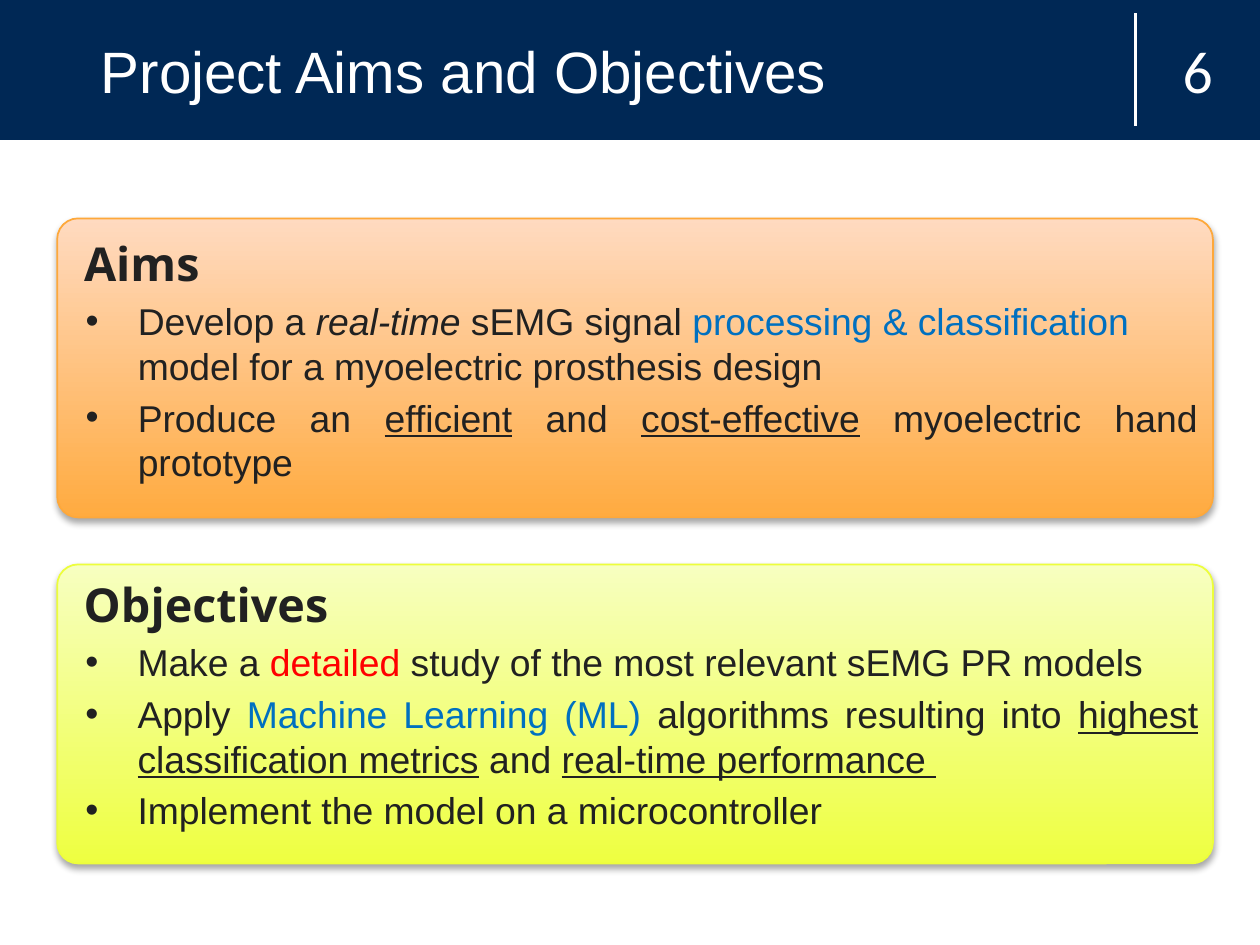
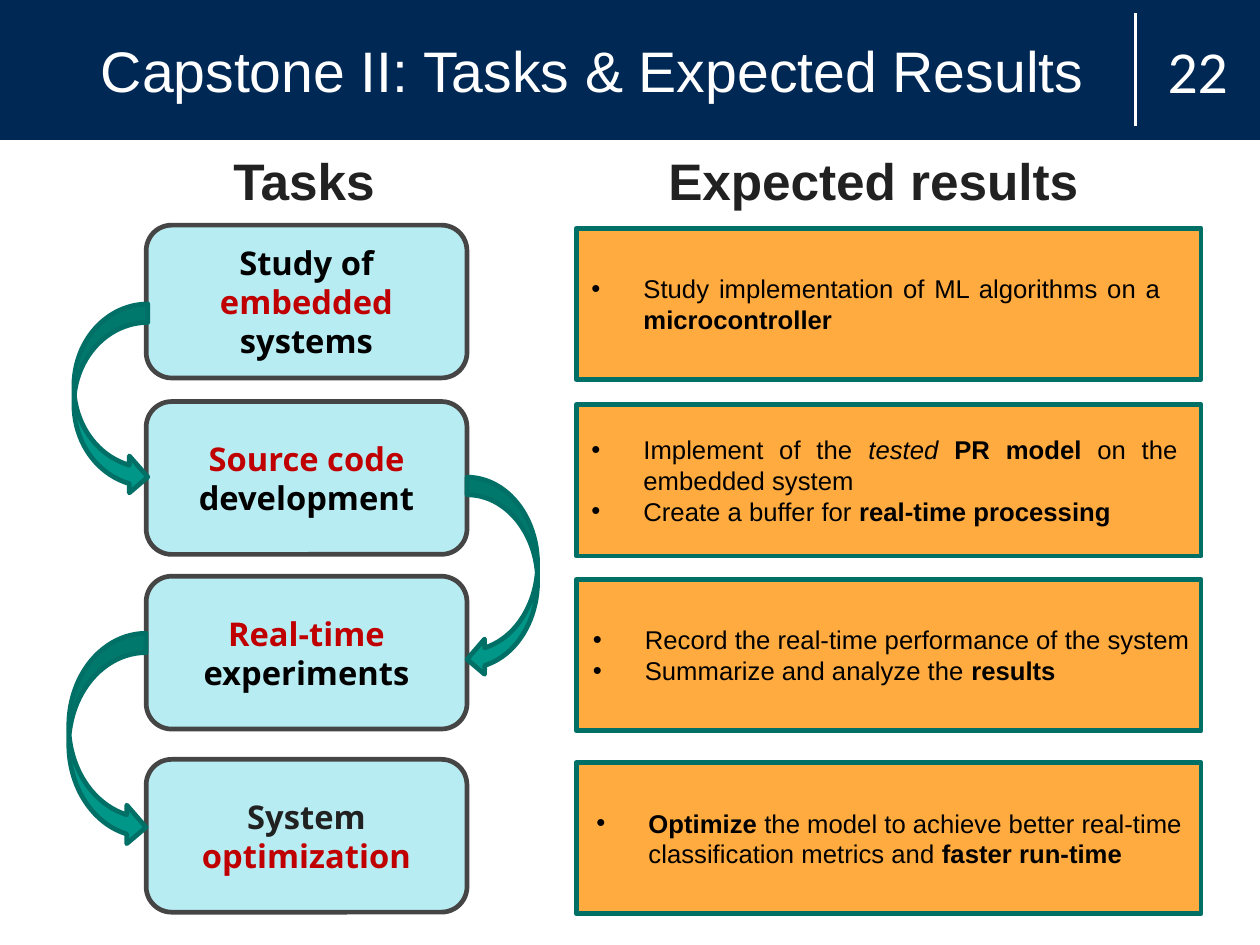
from lxml import etree
from pptx import Presentation
from pptx.dml.color import RGBColor
from pptx.enum.shapes import MSO_CONNECTOR, MSO_SHAPE
from pptx.enum.text import MSO_ANCHOR, MSO_AUTO_SIZE, PP_ALIGN
from pptx.oxml.ns import qn
from pptx.util import Inches, Pt

RECT, ROUND = MSO_SHAPE.RECTANGLE, MSO_SHAPE.ROUNDED_RECTANGLE
RIGHT_ARROW, LEFT_ARROW = MSO_SHAPE.CURVED_RIGHT_ARROW, MSO_SHAPE.CURVED_LEFT_ARROW
LEFT, CENTER, JUSTIFY = PP_ALIGN.LEFT, PP_ALIGN.CENTER, PP_ALIGN.JUSTIFY
MIDDLE = MSO_ANCHOR.MIDDLE

rgb = RGBColor.from_string
NAVY, WHITE, INK, BLACK = "002855", "FFFFFF", "212121", "000000"
BLUE, RED, DARK_RED = "0070C0", "FF0000", "C00000"
ORANGE, TEAL, DARK_TEAL = "FFAB40", "009688", "006F65"
BOLD, ITALIC, UNDER = {"bold": True}, {"italic": True}, {"underline": True}

HEADING = {"name": "Open Sans", "size": Pt(20), "color": INK, "bold": True}
BODY = {"name": "Arial", "size": Pt(16), "color": INK, "bold": False}
COLUMN = {"name": "Arial", "size": Pt(22), "color": INK, "bold": True}
TASK = {"name": "Open Sans", "size": Pt(14), "color": BLACK, "bold": True}
RESULT = {"name": "Arial", "size": Pt(11), "color": BLACK}
NUMBER = {"name": "Calibri", "size": Pt(25.5), "color": WHITE}


def add_box(s, kind, at, fill, line, width):
    sp = s.shapes.add_shape(kind, *map(Inches, at))
    sp.shadow.inherit = False
    if isinstance(fill, str):
        sp.fill.solid()
        sp.fill.fore_color.rgb = rgb(fill)
    else:
        sp.fill.gradient()
        sp.fill.gradient_angle = 90
        for stop, color in zip(sp.fill.gradient_stops, fill):
            stop.color.rgb = rgb(color)
    sp.line.color.rgb = rgb(line)
    sp.line.width = Pt(width)
    return sp


def write(p, runs, base, align=LEFT, margin=0, indent=0, bullet=None):
    """Fill a paragraph; each run is (text, changes to the base format)."""
    p.alignment = align
    pPr = p._p.get_or_add_pPr()
    pPr.set("marL", str(Inches(margin)))
    pPr.set("indent", str(Inches(indent)))
    if bullet:
        clr = etree.SubElement(pPr, qn("a:buClr"))
        etree.SubElement(clr, qn("a:srgbClr"), val=bullet)
        etree.SubElement(pPr, qn("a:buFont"), typeface="Arial")
        etree.SubElement(pPr, qn("a:buChar"), char="•")
    else:
        etree.SubElement(pPr, qn("a:buNone"))
    for text, changes in runs:
        r = p.add_run()
        r.text = text
        for key, value in {**base, **changes}.items():
            if key == "color":
                r.font.color.rgb = rgb(value)
            else:
                setattr(r.font, key, value)


prs = Presentation()
prs.slide_width = Inches(7.5)
prs.slide_height = prs.slide_width * 3 // 4
aims_slide = prs.slides.add_slide(prs.slide_layouts[1])
tasks_slide = prs.slides.add_slide(prs.slide_layouts[5])

# Shared page, title band and divider, moved to the master
master = prs.slide_master
master.background.fill.solid()
master.background.fill.fore_color.rgb = rgb(INK)
page = add_box(aims_slide, RECT, (0, 0.83, 7.5, 4.8), WHITE, WHITE, 2)
band = add_box(aims_slide, RECT, (0, 0, 7.5, 0.83), NAVY, NAVY, 0.75)
divider = aims_slide.shapes.add_connector(
    MSO_CONNECTOR.STRAIGHT, Inches(6.76), Inches(0.75), Inches(6.76), Inches(0.08))
divider.line.color.rgb = rgb(WHITE)
divider.line.width = Pt(1.5)
etree.SubElement(divider._element.spPr, qn("a:effectLst"))
for i, sp in enumerate((page, band, divider)):
    sp._element.xpath(".//p:cNvPr")[0].set("id", str(100 + i))
    master.shapes.element.insert(2 + i, sp._element)

# Titles and slide numbers
for s, title, size, number in (
    (aims_slide, "Project Aims and Objectives", 25, "6"),
    (tasks_slide, "Capstone II: Tasks & Expected Results", 24.5, "22"),
):
    sp = s.shapes.title
    sp.left, sp.top, sp.width, sp.height = map(Inches, (0.41, 0.08, 6.23, 0.67))
    num = s.shapes.add_textbox(*map(Inches, (6.76, 0.08, 0.74, 0.67)))
    for tf in (sp.text_frame, num.text_frame):
        tf.word_wrap = True
        tf.auto_size = MSO_AUTO_SIZE.NONE
        tf.vertical_anchor = MIDDLE
        tf.margin_top = tf.margin_bottom = Inches(0.1)
    title_format = {"name": "Arial", "size": Pt(size), "color": WHITE}
    write(sp.text_frame.paragraphs[0], [(title, {})], title_format, margin=0.09)
    write(num.text_frame.paragraphs[0], [(number, {})], NUMBER, CENTER)

# Slide 1: aims and objectives panels
s = aims_slide
aims = s.placeholders[1]
aims.left, aims.top, aims.width, aims.height = map(Inches, (0.28, 1.3, 6.95, 1.63))
objectives = s.shapes.add_textbox(*map(Inches, (0.28, 3.33, 6.95, 1.82)))
panels = [
    (aims, 1.3, (ORANGE, "FFDAC0"), "FEA83A", "Aims", [
        (LEFT, [("Develop a ", {}), ("real-time", ITALIC), (" sEMG signal ", {}),
                ("processing & classification ", {"color": BLUE}),
                ("model for a myoelectric prosthesis design", {})]),
        (JUSTIFY, [("Produce an ", {}), ("efficient", UNDER), (" and ", {}),
                   ("cost-effective", UNDER), (" myoelectric hand prototype ", {})]),
    ]),
    (objectives, 3.36, ("EEFF41", "F7FFC0"), "EDFE3B", "Objectives", [
        (JUSTIFY, [("Make a ", {}), ("detailed", {"color": RED}),
                   (" study of the most relevant sEMG PR models", {})]),
        (JUSTIFY, [("Apply ", {}), ("Machine Learning (ML) ", {"color": BLUE}),
                   ("algorithms resulting into ", {}),
                   ("highest classification metrics", UNDER), (" and ", {}),
                   ("real-time performance ", UNDER)]),
        (JUSTIFY, [("Implement the model on a microcontroller", {})]),
    ]),
]
for sp, top, colors, line, heading, items in panels:
    panel = add_box(s, ROUND, (0.34, top, 6.88, 1.78), colors, line, 0.75)
    panel.adjustments[0] = 0.07
    shadow = etree.SubElement(
        panel._element.spPr.find(qn("a:effectLst")), qn("a:outerShdw"),
        blurRad=str(Pt(3.1)), dist=str(Pt(1.8)), dir="5400000", rotWithShape="0")
    clr = etree.SubElement(shadow, qn("a:srgbClr"), val=BLACK)
    etree.SubElement(clr, qn("a:alpha"), val="35000")

    s.shapes.element.append(sp._element)  # text in front of its panel
    tf = sp.text_frame
    tf.word_wrap = True
    tf.auto_size = MSO_AUTO_SIZE.NONE
    tf.margin_top = tf.margin_bottom = Inches(0.1)
    write(tf.paragraphs[0], [(heading, {})], HEADING, margin=0.12)
    for align, runs in items:
        write(tf.add_paragraph(), runs, BODY, align, 0.44, -0.31, INK)
    for p in tf.paragraphs:
        p.space_before = Pt(3)

# Slide 2: column headings
s = tasks_slide
for left, width, text in ((1.29, 1.91, "Tasks"), (3.88, 3.27, "Expected results")):
    tf = s.shapes.add_textbox(*map(Inches, (left, 0.84, width, 0.47))).text_frame
    tf.word_wrap = True
    write(tf.paragraphs[0], [(text, {})], COLUMN)

# Rows: top, task, alignment, side insets and items of the result
ACCENT = {"color": DARK_RED}
rows = [
    (1.34, [("Study of ", {}), ("embedded", ACCENT), (" systems", {})],
     JUSTIFY, (0.09, 0.24),
     [[("Study implementation of ML algorithms on a ", {}), ("microcontroller", BOLD)]]),
    (2.39, [("Source code ", ACCENT), ("development", {})],
     JUSTIFY, (0.09, 0.14),
     [[("Implement of the ", {}), ("tested ", ITALIC), ("PR model", BOLD),
       (" on the embedded system", {})],
      [("Create a buffer for ", {}), ("real-time processing", BOLD)]]),
    (3.43, [("Real-time ", ACCENT), ("experiments", {})],
     LEFT, (0.1, 0),
     [[("Record the real-time performance of the system", {})],
      [("Summarize and analyze the ", {}), ("results", BOLD)]]),
    (4.52, [("System", {"color": INK}), (" optimization", ACCENT)],
     LEFT, (0.12, 0),
     [[("Optimize", BOLD),
       (" the model to achieve better real-time classification metrics and ", {}),
       ("faster run-time", BOLD)]]),
]
for top, task, align, (inset_left, inset_right), items in rows:
    sp = add_box(s, ROUND, (0.87, top, 1.91, 0.91), "B8ECF3", "454545", 2)
    tf = sp.text_frame
    tf.vertical_anchor = MIDDLE
    write(tf.paragraphs[0], task, TASK, CENTER)

    sp = add_box(s, RECT, (3.43, top + 0.02, 3.72, 0.9), ORANGE, DARK_TEAL, 2)
    tf = sp.text_frame
    tf.vertical_anchor = MIDDLE
    tf.margin_left, tf.margin_right = Inches(inset_left), Inches(inset_right)
    for i, runs in enumerate(items):
        p = tf.add_paragraph() if i else tf.paragraphs[0]
        write(p, runs, RESULT, align, 0.31, -0.31, BLACK)

# Curved arrows from task to task
for kind, at in (
    (RIGHT_ARROW, (0.44, 1.81, 0.44, 1.14)),
    (LEFT_ARROW, (2.78, 2.84, 0.42, 1.19)),
    (RIGHT_ARROW, (0.41, 3.77, 0.46, 1.27)),
):
    add_box(s, kind, at, TEAL, DARK_TEAL, 2)

prs.save("out.pptx")
